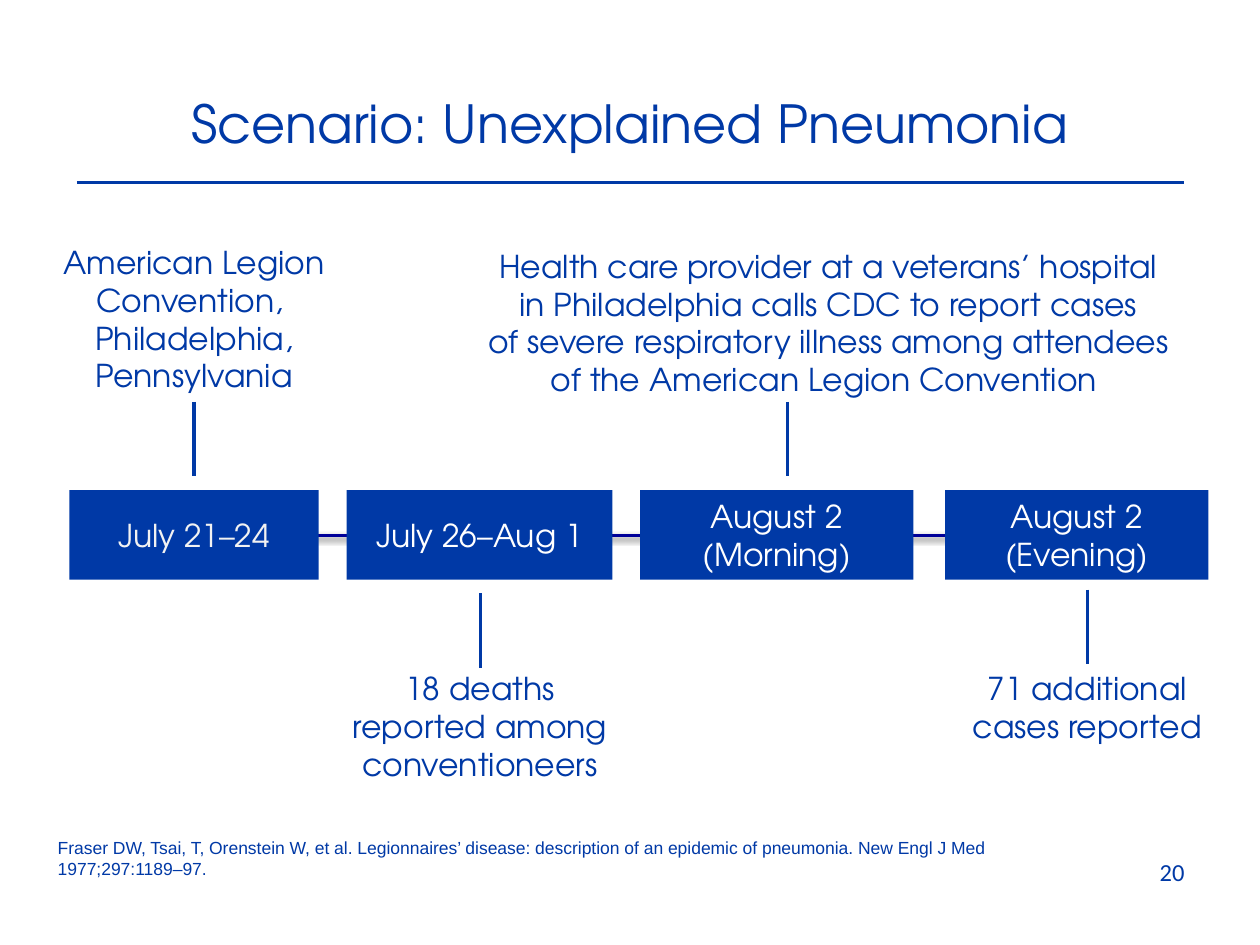
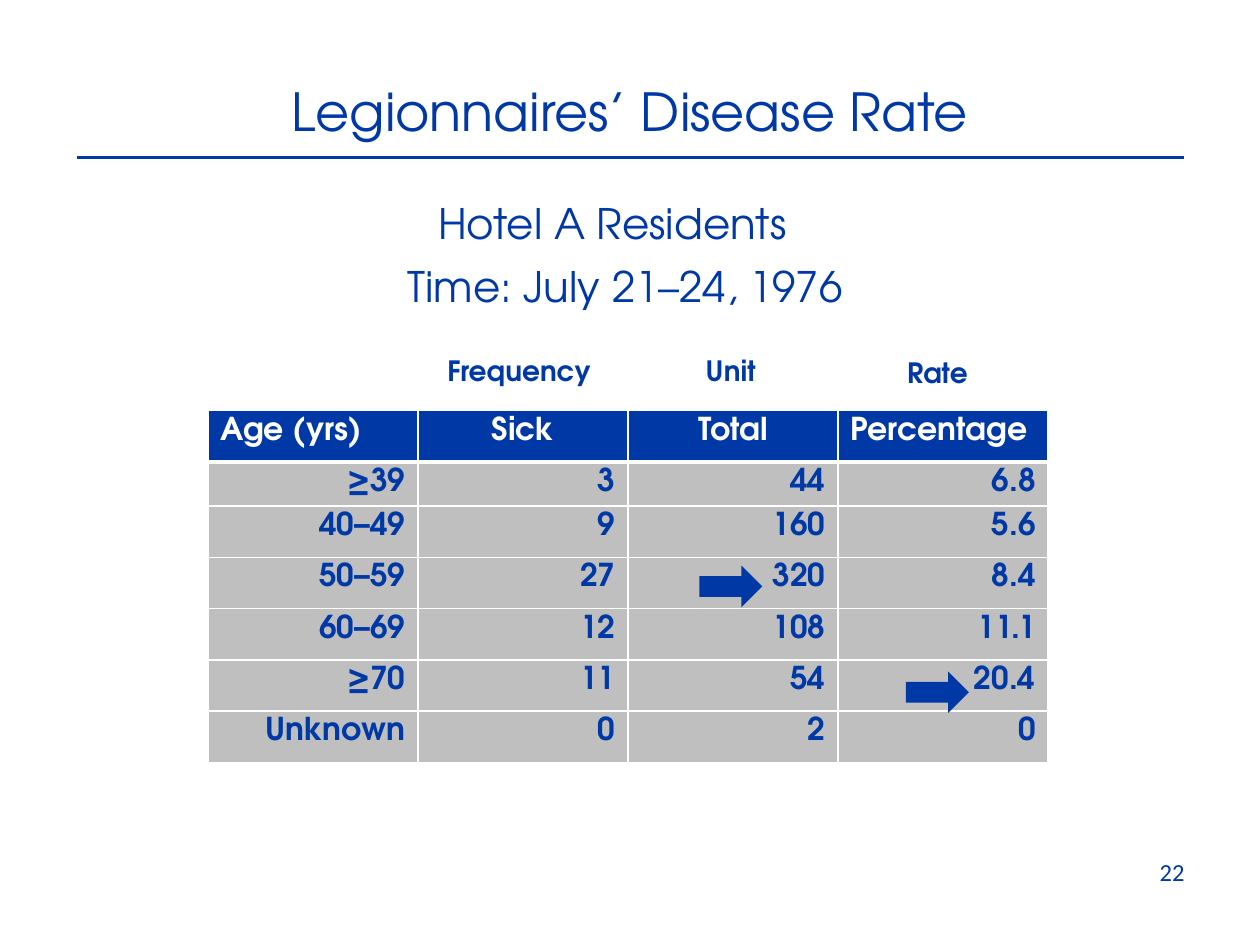
from lxml.etree import SubElement
from pptx import Presentation
from pptx.dml.color import RGBColor
from pptx.enum.shapes import MSO_CONNECTOR, MSO_SHAPE
from pptx.enum.text import MSO_ANCHOR, PP_ALIGN
from pptx.oxml.ns import qn
from pptx.util import Inches, Pt

COLUMNS, ROWS = 100, 75
WIDTH, HEIGHT = Inches(10), Inches(7.5)
BLUE, NAVY, WHITE, GREY = "0039A6", "000099", "FFFFFF", "BFBFBF"
HEADING = {"name": "TeX Gyre Adventor", "size": Pt(30)}
SUBHEADING = {"name": "TeX Gyre Adventor", "size": Pt(24)}
BODY = {"name": "TeX Gyre Adventor", "size": Pt(18)}
STRONG = {**BODY, "bold": True}
COLUMN_LABEL = {**STRONG, "size": Pt(16)}
CITATION = {"name": "Arial", "size": Pt(10)}
NUMBER = {"name": "Calibri", "size": Pt(14)}

STAGES = [
    (5.5, 19.8, "July 21–24", "F2F2F2"),
    (27.5, 21.1, "July 26–Aug 1", WHITE),
    (50.8, 21.7, "August 2\n(Morning)", WHITE),
    (75, 20.9, "August 2\n(Evening)", WHITE),
]
EVENTS = [
    (3.8, 18.8, 23.2, 13.1,
     "American Legion Convention, \nPhiladelphia, Pennsylvania"),
    (26.5, 52.6, 23.2, 10.1, "18 deaths reported among conventioneers"),
    (37.4, 19.1, 56.7, 13.1,
     "Health care provider at a veterans’ hospital in Philadelphia calls CDC "
     "to report cases\vof severe respiratory illness among attendees of the "
     "American Legion Convention "),
    (74.7, 52.6, 23.2, 7.1, "71 additional cases reported"),
]
STEMS = [(15.4, 31.9), (38.1, 47.1), (62.5, 31.9), (86.3, 46.8)]
STEM_LENGTH = 5.9
SOURCE = ("Fraser DW, Tsai, T, Orenstein W, et al. Legionnaires’ disease: "
          "description of an epidemic of pneumonia. New Engl J Med "
          "1977;297:1189–97.")
MEASURES = [(33, 27.6, "Frequency"), (49.8, 27.6, "Unit"),
            (66.2, 27.7, "Rate")]
RATES = [
    ("Age (yrs)", "Sick", "Total", "Percentage"),
    ("≥39", "3", "44", "6.8"),
    ("40–49", "9", "160", "5.6"),
    ("50–59", "27", "320", "8.4"),
    ("60–69", "12", "108", "11.1"),
    ("≥70", "11", "54", "20.4"),
    ("Unknown", "0", "2", "0"),
]


def across(columns):
    """Turn grid columns into a length."""
    return int(WIDTH * columns / COLUMNS)


def down(rows):
    """Turn grid rows into a length."""
    return int(HEIGHT * rows / ROWS)


def place(left, top, width, height):
    """Turn a grid area into slide lengths."""
    return across(left), down(top), across(width), down(height)


def color(hex_code):
    """Turn a hex string into a colour."""
    return RGBColor.from_string(hex_code)


def write(frame, words, formats, hex_code=BLUE, align=PP_ALIGN.CENTER):
    """Fill a text frame with evenly formatted paragraphs."""
    frame.text = words
    for paragraph in frame.paragraphs:
        paragraph.alignment = align
        for run in paragraph.runs:
            for attribute, value in formats.items():
                setattr(run.font, attribute, value)
            run.font.color.rgb = color(hex_code)


def add_words(slide, area, words, formats, align=PP_ALIGN.CENTER):
    """Add wrapped text in a grid area."""
    frame = slide.shapes.add_textbox(*place(*area)).text_frame
    frame.word_wrap = True
    write(frame, words, formats, align=align)


def add_rule(slide, start, end, weight, hex_code=BLUE):
    """Draw a straight line between two grid points and return its effects."""
    rule = slide.shapes.add_connector(
        MSO_CONNECTOR.STRAIGHT, across(start[0]), down(start[1]),
        across(end[0]), down(end[1]))
    rule.line.width = Pt(weight)
    rule.line.color.rgb = color(hex_code)
    return SubElement(rule._element.spPr, qn("a:effectLst"))


def add_block(slide, kind, area):
    """Add a plain blue preset shape."""
    block = slide.shapes.add_shape(kind, *place(*area))
    block.shadow.inherit = False
    block.fill.solid()
    block.fill.fore_color.rgb = color(BLUE)
    block.line.fill.background()
    return block


def add_slide(deck, heading, top, rule_top, number):
    """Add a slide with its title, rule and slide number."""
    slide = deck.slides.add_slide(deck.slide_layouts[5])
    title = slide.shapes.title
    title.left, title.top, title.width, title.height = place(5, top, 90, 12.5)
    title.text_frame.vertical_anchor = MSO_ANCHOR.MIDDLE
    write(title.text_frame, heading, HEADING)
    add_rule(slide, (6.1, rule_top), (94, rule_top), 2)
    add_words(slide, (71.7, 67.5, 23.3, 4), number, NUMBER, PP_ALIGN.RIGHT)
    return slide


def add_timeline(slide):
    """Draw the dated stages on their shadowed axis."""
    effects = add_rule(slide, (6.2, 42.5), (95.3, 42.5), 2, NAVY)
    shadow = SubElement(effects, qn("a:outerShdw"), blurRad="40000",
                        dist="20000", dir="5400000", rotWithShape="0")
    black = SubElement(shadow, qn("a:srgbClr"), val="000000")
    SubElement(black, qn("a:alpha"), val="38000")
    for left, width, date, hex_code in STAGES:
        stage = add_block(slide, MSO_SHAPE.RECTANGLE, (left, 38.9, width, 7.1))
        stage.text_frame.vertical_anchor = MSO_ANCHOR.MIDDLE
        write(stage.text_frame, date, BODY, hex_code)


def add_border(cell, side, weight):
    """Give one side of a cell a white border."""
    border = SubElement(cell._tc.get_or_add_tcPr(), qn(f"a:{side}"),
                        w=str(Pt(weight)))
    fill = SubElement(border, qn("a:solidFill"))
    SubElement(fill, qn("a:srgbClr"), val=WHITE)


def add_rates(slide):
    """Add the table of rates by age group."""
    table = slide.shapes.add_table(
        len(RATES), len(RATES[0]), *place(16.5, 32.6, 66.7, 28.3)).table
    for column in table.columns:
        column.width = across(66.7 / len(RATES[0]))
    for index, (row, values) in enumerate(zip(table.rows, RATES)):
        header = index == 0
        row.height = down(3.4 if index == 1 else 4.07)
        for position, (cell, value) in enumerate(zip(row.cells, values)):
            centred = position in (1, 2)
            header_align = PP_ALIGN.CENTER if centred else PP_ALIGN.LEFT
            cell.margin_top, cell.margin_bottom = Inches(0.05), 0
            for side in ("lnL", "lnR", "lnT", "lnB"):
                meets_header = (index, side) in ((0, "lnB"), (1, "lnT"))
                add_border(cell, side, 3 if meets_header else 1)
            cell.fill.solid()
            cell.fill.fore_color.rgb = color(BLUE if header else GREY)
            write(cell.text_frame, value, STRONG, WHITE if header else BLUE,
                  header_align if header else PP_ALIGN.RIGHT)


def build_scenario(deck):
    """Build the outbreak timeline slide."""
    slide = add_slide(deck, "Scenario: Unexplained Pneumonia", 3.5, 14.5, "20")
    add_timeline(slide)
    for *area, event in EVENTS:
        add_words(slide, area, event, BODY)
    for x, top in STEMS:
        add_rule(slide, (x, top), (x, top + STEM_LENGTH), 1.75)
    add_words(slide, (3.6, 65.9, 81.7, 4.4), SOURCE, CITATION, PP_ALIGN.LEFT)


def build_rates(deck):
    """Build the disease rate slide."""
    slide = add_slide(deck, "Legionnaires’ Disease Rate", 2.5, 12.5, "22")
    add_rates(slide)
    for left, top, measure in MEASURES:
        add_words(slide, (left, top, 16.4, 3.7), measure, COLUMN_LABEL)
    for left, top in ((55.5, 44.9), (71.9, 53.3)):
        add_block(slide, MSO_SHAPE.RIGHT_ARROW, (left, top, 5, 3.3))
    add_words(slide, (29.2, 20.2, 40.8, 7.3), "Time: July 21–24, 1976",
              SUBHEADING)
    add_words(slide, (33.8, 15.2, 32, 5.1), "Hotel A Residents", SUBHEADING,
              PP_ALIGN.LEFT)


def main():
    """Build and save the deck."""
    deck = Presentation()
    deck.slide_width, deck.slide_height = WIDTH, HEIGHT
    build_scenario(deck)
    build_rates(deck)
    deck.save("out.pptx")


if __name__ == "__main__":
    main()
